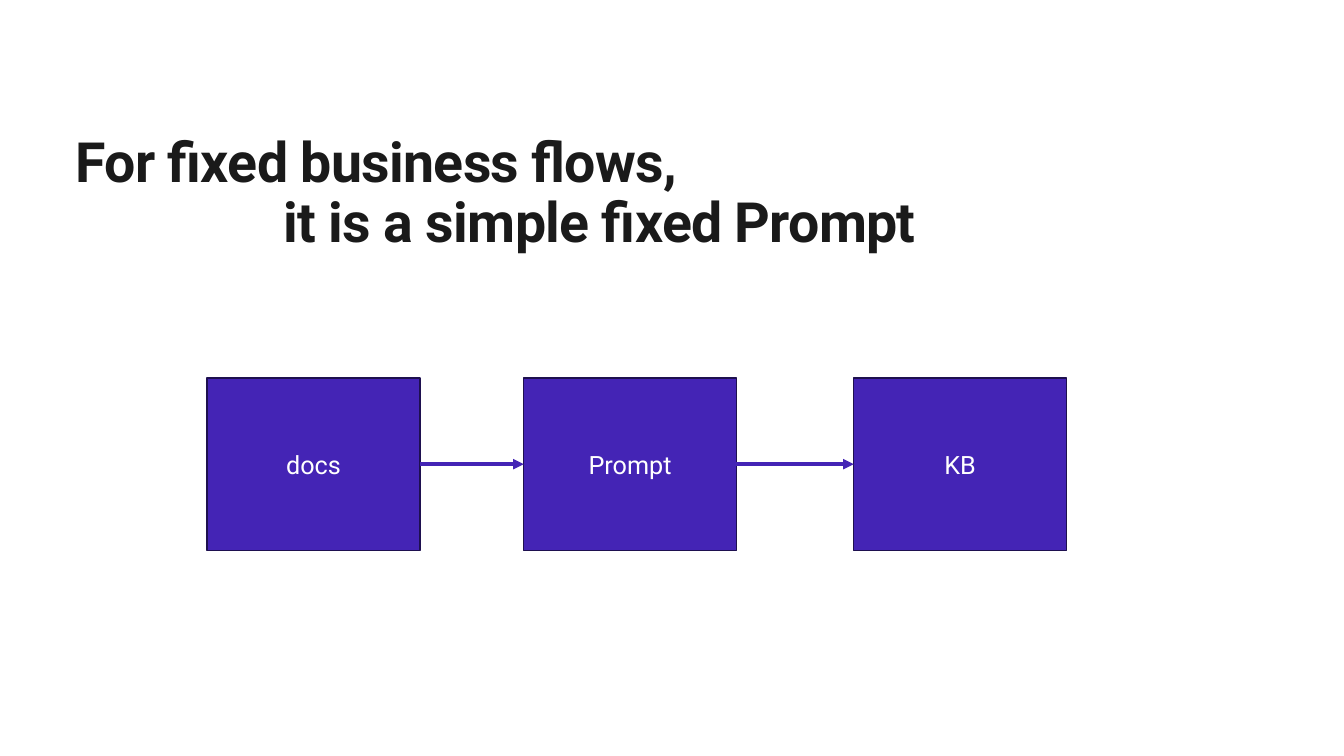
from dataclasses import dataclass

from lxml import etree
from pptx import Presentation
from pptx import util as u
from pptx.dml.color import RGBColor
from pptx.enum import shapes, text
from pptx.oxml import ns

COLORS = {"ink": "1A1A1A", "box": "4424B5", "edge": "1E104F", "label": "FFFFFF"}
FONT = "Roboto"
BOX_TOP, BOX_WIDTH, BOX_HEIGHT = 270, 151.9, 123.1
RIGHT_SIDE, LEFT_SIDE = 3, 1


@dataclass
class Step:
    label: str
    left: float


@dataclass
class TitleLine:
    words: str
    indent: float


STEPS = [Step("docs", 148), Step("Prompt", 374.1), Step("KB", 609.8)]
TITLE = [
    TitleLine("For fixed business flows,", 0),
    TitleLine("it is a simple fixed Prompt", 149),
]


def rgb(name: str) -> RGBColor:
    return RGBColor.from_string(COLORS[name])


def add_run(p, words: str, size: float, color: str, bold: bool = False):
    r = p.add_run()
    r.text = words
    r.font.name = FONT
    r.font.size = u.Pt(size)
    r.font.bold = bold
    r.font.color.rgb = rgb(color)
    return r


def add_title(s, lines: list[TitleLine]) -> None:
    sp = s.shapes.add_textbox(u.Pt(53.8), u.Pt(95.5), u.Pt(827.3), u.Pt(87.1))
    tf = sp.text_frame
    tf.word_wrap = True
    tf.vertical_anchor = text.MSO_ANCHOR.MIDDLE
    tf.margin_left = tf.margin_top = tf.margin_right = tf.margin_bottom = 0
    for i, line in enumerate(lines):
        p = tf.add_paragraph() if i else tf.paragraphs[0]
        p.line_spacing = 0.9
        p._p.get_or_add_pPr().set("marL", str(u.Pt(line.indent)))
        r = add_run(p, line.words, 39.6, "ink", bold=True)
        r._r.get_or_add_rPr().set("spc", "-50")


def add_step(s, step: Step):
    sp = s.shapes.add_shape(
        shapes.MSO_SHAPE.RECTANGLE,
        u.Pt(step.left), u.Pt(BOX_TOP), u.Pt(BOX_WIDTH), u.Pt(BOX_HEIGHT),
    )
    sp.shadow.inherit = False
    sp.fill.solid()
    sp.fill.fore_color.rgb = rgb("box")
    sp.line.color.rgb = rgb("edge")
    sp.line.width = u.Pt(1)
    tf = sp.text_frame
    tf.word_wrap = True
    tf.vertical_anchor = text.MSO_ANCHOR.MIDDLE
    p = tf.paragraphs[0]
    p.alignment = text.PP_ALIGN.CENTER
    add_run(p, step.label, 18, "label")
    return sp


def add_arrow(s, source, target) -> None:
    middle = source.top + source.height // 2
    arrow = s.shapes.add_connector(
        shapes.MSO_CONNECTOR.STRAIGHT,
        source.left + source.width, middle, target.left, middle,
    )
    arrow.begin_connect(source, RIGHT_SIDE)
    arrow.end_connect(target, LEFT_SIDE)
    arrow.line.color.rgb = rgb("box")
    arrow.line.width = u.Pt(2.5)
    props = arrow._element.spPr
    etree.SubElement(props.find(ns.qn("a:ln")), ns.qn("a:tailEnd"), type="triangle")
    etree.SubElement(props, ns.qn("a:effectLst"))


def main() -> None:
    prs = Presentation()
    prs.slide_width, prs.slide_height = u.Pt(960), u.Pt(540)
    s = prs.slides.add_slide(prs.slide_layouts[6])

    # Title
    add_title(s, TITLE)

    # Flow of steps, each joined to the next
    boxes = [add_step(s, step) for step in STEPS]
    for source, target in zip(boxes, boxes[1:]):
        add_arrow(s, source, target)

    prs.save("out.pptx")


if __name__ == "__main__":
    main()
